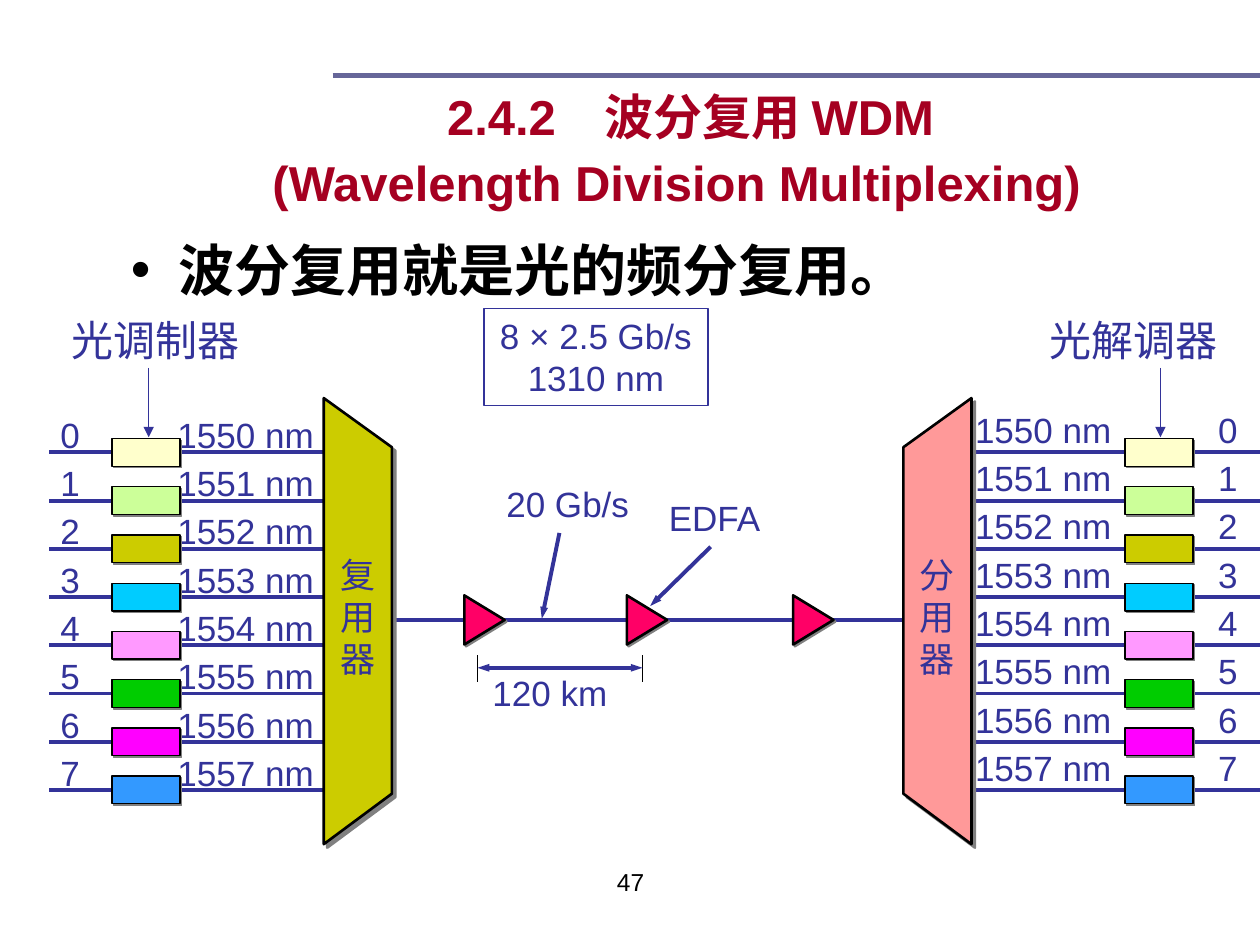
import lxml.etree
import pptx
import pptx.dml.color
import pptx.enum.shapes
import pptx.enum.text
import pptx.oxml.ns
import pptx.util

Inches = pptx.util.Inches
Pt = pptx.util.Pt
Shape = pptx.enum.shapes.MSO_SHAPE
Align = pptx.enum.text.PP_ALIGN
Anchor = pptx.enum.text.MSO_ANCHOR


def colour(hex_code):
    return pptx.dml.color.RGBColor.from_string(hex_code)


def add_node(parent, tag, **attributes):
    node = lxml.etree.SubElement(parent, pptx.oxml.ns.qn(tag))
    for name, value in attributes.items():
        node.set(name, str(value))
    return node


class Diagram:
    ink = "333399"
    black = "000000"
    shade = "808080"
    font = "Arial"

    def __init__(self, page):
        self.page = page

    def text(self, left, top, width, height, words, size=20, hex_code=ink, font=font,
             bold=False, align=Align.LEFT, anchor=Anchor.TOP, wrap=False, spacing=None):
        box = self.page.shapes.add_textbox(
            Inches(left), Inches(top), Inches(width), Inches(height))
        frame = box.text_frame
        frame.text = words
        frame.word_wrap = wrap
        frame.vertical_anchor = anchor
        for para in frame.paragraphs:
            para.alignment = align
            if spacing:
                para.line_spacing = spacing
            for span in para.runs:
                span.font.size = Pt(size)
                span.font.name = font
                span.font.bold = bold
                span.font.color.rgb = colour(hex_code)
        return box

    def title(self, left, top, width, height, words):
        box = self.text(left, top, width, height, words, size=28, hex_code="A50021",
                        bold=True, align=Align.CENTER, anchor=Anchor.BOTTOM, wrap=True)
        subtitle = box.text_frame.paragraphs[1]
        subtitle.space_before = Pt(4.5)
        subtitle._p.get_or_add_pPr().set("marR", str(Inches(0.22)))

    def columns(self, left, top, width, height, rows, stop):
        words = "\n".join("\t".join(row) for row in rows)
        box = self.text(left, top, width, height, words, wrap=True, spacing=1.15)
        for para in box.text_frame.paragraphs:
            tabs = add_node(para._p.get_or_add_pPr(), "a:tabLst")
            add_node(tabs, "a:tab", pos=Inches(stop), algn="l")

    def bullet(self, left, top, width, height, words):
        box = self.text(left, top, width, height, words, size=32,
                        hex_code=self.black, bold=True, wrap=True)
        para = box.text_frame.paragraphs[0]
        para.space_before = Pt(8)
        properties = para._p.get_or_add_pPr()
        properties.set("marL", str(Inches(0.38)))
        properties.set("indent", str(-Inches(0.38)))
        add_node(properties, "a:buFont", typeface=self.font)
        add_node(properties, "a:buChar", char="•")

    def line(self, start, end, hex_code=ink, weight=2.25, head=False, tail=False):
        points = [Inches(value) for value in (*start, *end)]
        connector = self.page.shapes.add_connector(
            pptx.enum.shapes.MSO_CONNECTOR.STRAIGHT, *points)
        connector.line.color.rgb = colour(hex_code)
        connector.line.width = Pt(weight)
        outline = connector.line._get_or_add_ln()
        breadth = "sm" if weight > 1 else "med"
        for wanted, tag in ((head, "a:headEnd"), (tail, "a:tailEnd")):
            if wanted:
                add_node(outline, tag, type="triangle", w=breadth, len="med")
        add_node(connector._element.spPr, "a:effectLst")

    def finish(self, shape, fill, weight, distance):
        shape.fill.solid()
        shape.fill.fore_color.rgb = colour(fill)
        shape.line.color.rgb = colour(self.black)
        shape.line.width = Pt(weight)
        shape.shadow.inherit = False
        effects = shape._element.spPr.find(pptx.oxml.ns.qn("a:effectLst"))
        shadow = add_node(effects, "a:outerShdw", dist=Pt(distance), dir=45 * 60000,
                          algn="ctr", rotWithShape=0)
        add_node(shadow, "a:srgbClr", val=self.shade)

    def block(self, kind, left, top, width, height, fill, weight=0.75, turn=0):
        shape = self.page.shapes.add_shape(
            kind, Inches(left), Inches(top), Inches(width), Inches(height))
        shape.rotation = turn
        self.finish(shape, fill, weight, 1.4)

    def trapezoid(self, outer, inner, fill):
        corners = [(outer, 6.7), (inner, 6.3), (inner, 3.55), (outer, 3.16)]
        points = [(Inches(x), Inches(y)) for x, y in corners]
        builder = self.page.shapes.build_freeform(*points[0])
        builder.add_line_segments(points[1:], close=True)
        self.finish(builder.convert_to_shape(), fill, 1.5, 2.8)


def main():
    deck = pptx.Presentation()
    deck.slide_width = Inches(10)
    deck.slide_height = Inches(7.5)
    diagram = Diagram(deck.slides.add_slide(deck.slide_layouts[6]))

    diagram.line((2.64, 0.6), (10, 0.6), "666699", 3)
    diagram.title(1.22, 0.6, 8.52, 1.13,
                  "2.4.2　波分复用 WDM\n(Wavelength Division Multiplexing)")
    diagram.bullet(0.94, 1.82, 9.06, 4.5, "波分复用就是光的频分复用。")

    channel_fills = ["FFFFCC", "CCFF99", "CCCC00", "00CCFF",
                     "FF99FF", "00CC00", "FF00FF", "3399FF"]
    channels = [(str(i), f"{1550 + i} nm") for i in range(len(channel_fills))]
    diagram.columns(0.38, 3.18, 2.52, 3.17, channels, 0.93)
    diagram.columns(7.64, 3.14, 2.36, 3.17, [row[::-1] for row in channels], 1.93)

    pitch = 2.68 / 7
    for line_left, block_left in ((0.39, 0.89), (7.71, 8.93)):
        for i, fill in enumerate(channel_fills):
            y = 3.59 + i * pitch
            diagram.line((line_left, y), (line_left + 2.29, y))
            diagram.block(Shape.RECTANGLE, block_left, y - 0.11, 0.54, 0.22, fill)

    diagram.line((2.73, 4.92), (7.65, 4.92))
    for left in (3.65, 4.94, 6.26):
        diagram.block(Shape.ISOSCELES_TRIANGLE, left, 4.76, 0.39, 0.32,
                      "FF0066", weight=1.5, turn=90)

    diagram.trapezoid(2.57, 3.11, "CCCC00")
    diagram.trapezoid(7.71, 7.17, "FF9999")
    for left, words in ((2.6, "复\n用\n器"), (7.2, "分\n用\n器")):
        diagram.text(left, 4.34, 0.48, 1.1, words, font="Times New Roman")

    rate_box = diagram.text(3.84, 2.45, 1.78, 0.77, "8 × 2.5 Gb/s\n1310 nm",
                            align=Align.CENTER)
    rate_box.line.color.rgb = colour(diagram.ink)
    rate_box.line.width = Pt(0.75)

    diagram.text(3.92, 3.78, 1.25, 0.44, "20 Gb/s")
    diagram.line((4.44, 4.23), (4.3, 4.91), tail=True)
    diagram.text(5.21, 3.89, 0.94, 0.44, "EDFA")
    diagram.line((5.64, 4.34), (5.16, 4.81), tail=True)

    for x in (3.79, 5.1):
        diagram.line((x, 5.2), (x, 5.41), diagram.black, 0.75)
    diagram.line((3.79, 5.3), (5.1, 5.3), head=True, tail=True)
    diagram.text(3.81, 5.28, 1.15, 0.44, "120 km")

    for left, words, x in ((0.47, "光调制器", 1.18), (8.23, "光解调器", 9.21)):
        diagram.text(left, 2.45, 1.53, 0.5, words, size=24, font="Lato")
        diagram.line((x, 2.92), (x, 3.47), weight=0.75, tail=True)

    diagram.text(3.42, 6.83, 3.17, 0.52, "47", size=14, hex_code=diagram.black,
                 align=Align.CENTER, wrap=True)
    deck.save("out.pptx")


if __name__ == "__main__":
    main()
